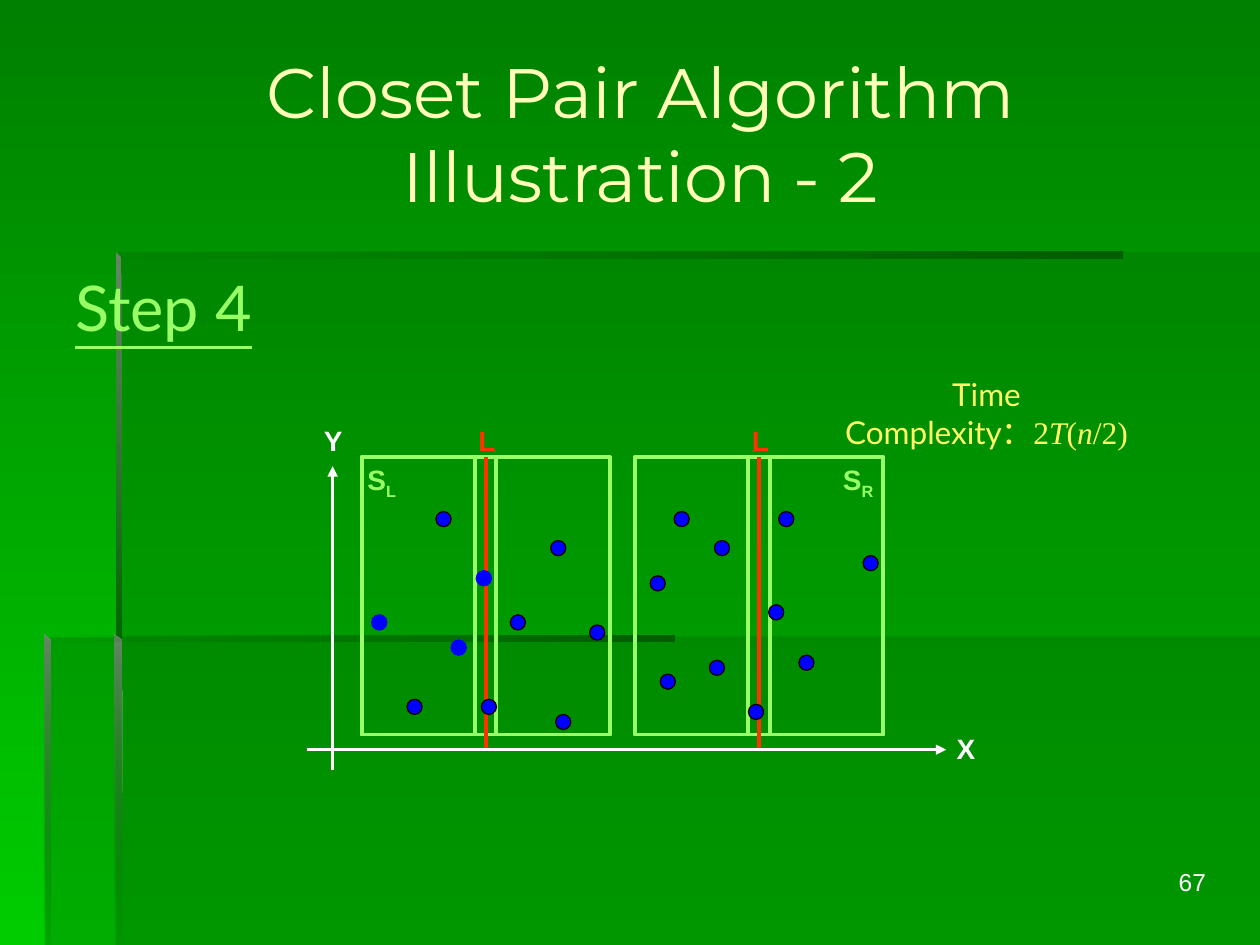
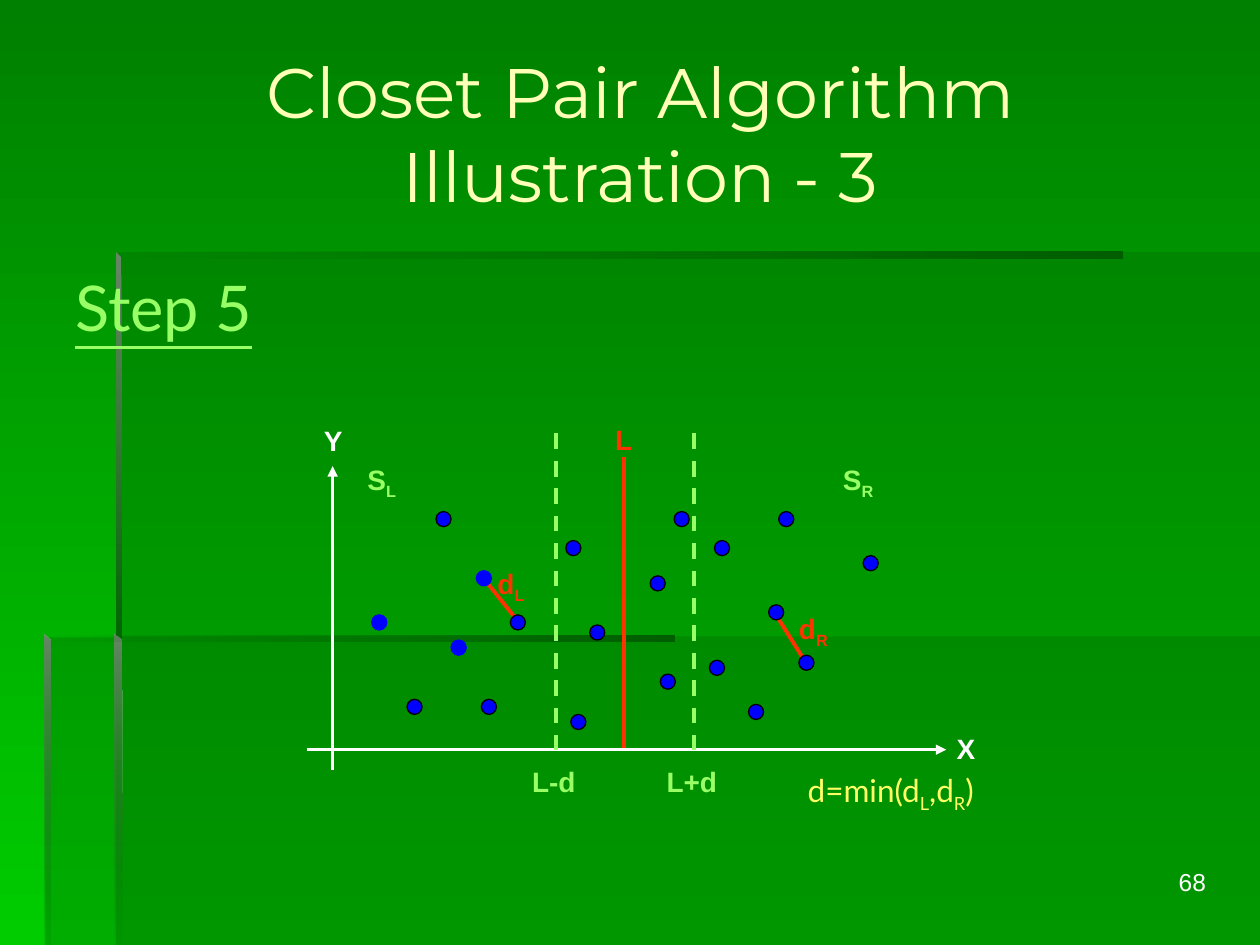
from lxml import etree
from pptx import Presentation
from pptx.dml.color import RGBColor
from pptx.enum import dml, shapes, text
from pptx.oxml import ns
from pptx.util import Inches, Pt

color = RGBColor.from_string
WHITE, LIME, RED, YELLOW, BLUE = "FFFFFF", "99FF66", "FF3300", "FFFF66", "0000FF"
SHADE, HIGHLIGHT, DEEP = "006600", "668666", "005E00"
CENTER, LEFT, RIGHT = text.PP_ALIGN.CENTER, text.PP_ALIGN.LEFT, text.PP_ALIGN.RIGHT

TITLE = {"name": "Montserrat", "size": Pt(40), "color": "FFFFB7"}
STEP = {"name": "Lato", "size": Pt(36), "color": LIME, "underline": True}
NOTE = {"name": "Lato", "size": Pt(18), "color": YELLOW}
NUMBER = {"name": "Arial", "size": Pt(14), "color": WHITE}
LABEL = {"name": "Arial", "size": Pt(16), "bold": True, "color": WHITE}
LIME_LABEL = {**LABEL, "color": LIME}
RED_LABEL = {**LABEL, "color": RED}
SUB = {"baseline": "-25000"}
SERIF = {"name": "Times New Roman"}
SERIF_ITALIC = {**SERIF, "italic": True}

PANELS = [
    [(0.92, 5.05), (0.92, 7.5), (10, 7.5), (10, 5.05)],
    [(0.94, 5.06), (0.36, 5.06), (0.36, 7.5), (10, 7.5), (10, 2), (0.94, 2)],
]
FADE_IN = [(SHADE, 0), (DEEP, 100)]
BEVELS = [
    ([(0.92, 2), (0.92, 2.05), (8.91, 2.05), (8.91, 2)], FADE_IN, 0),
    ([(0.92, 2), (0.92, 5.1), (0.97, 5.1), (0.96, 2.04)], [(HIGHLIGHT, 100), (SHADE, 100)], 90),
    ([(0.91, 7.5), (0.97, 7.5), (0.96, 5.08), (0.91, 5.04)], [(HIGHLIGHT, 100), (SHADE, 0)], 90),
    ([(0.35, 5.04), (0.35, 5.09), (5.35, 5.09), (5.35, 5.04)], FADE_IN, 0),
    ([(0.35, 5.04), (0.35, 7.5), (0.4, 7.5), (0.4, 5.09)], [(HIGHLIGHT, 100), (SHADE, 10)], 90),
]

DOT = 0.12
PLAIN_DOTS = [(2.95, 4.88), (3.78, 4.53), (3.58, 5.08)]
OUTLINED_DOTS = [
    (3.46, 4.06), (3.23, 5.55), (3.82, 5.55), (5.24, 5.35), (5.35, 4.06),
    (4.05, 4.88), (4.68, 4.96), (5.16, 4.57), (5.63, 5.24), (5.94, 5.59),
    (6.34, 5.2), (6.1, 4.8), (5.67, 4.29), (6.18, 4.06), (6.85, 4.41),
]
AXIS_Y = 5.95
HALF_TOP, HALF_WIDTH, HALF_HEIGHT, SIDE_WIDTH = 3.63, 1.97, 2.2, 0.9


def add_text(slide, at, runs, style, align=CENTER, inset=(0, 0), wrap=False, anchor=text.MSO_ANCHOR.TOP):
    frame = slide.shapes.add_textbox(*map(Inches, at)).text_frame
    across, down = map(Inches, inset)
    layout = {"margin_left": across, "margin_right": across, "margin_top": down,
              "margin_bottom": down, "word_wrap": wrap, "vertical_anchor": anchor}
    for name, value in layout.items():
        setattr(frame, name, value)
    paragraph = frame.paragraphs[0]
    paragraph.alignment = align
    for words, extra in runs:
        run = paragraph.add_run()
        run.text = words
        for name, value in {**style, **extra}.items():
            if name == "color":
                run.font.color.rgb = color(value)
            elif name == "baseline":
                run._r.get_or_add_rPr().set(name, value)
            else:
                setattr(run.font, name, value)


def add_line(slide, start, end, hue, width=2.25, dash=None, arrow=None):
    line = slide.shapes.add_connector(shapes.MSO_CONNECTOR.STRAIGHT, *map(Inches, start + end))
    line.line.color.rgb = color(hue)
    line.line.width = Pt(width)
    if dash:
        line.line.dash_style = dash
    if arrow:
        etree.SubElement(line.line._get_or_add_ln(), ns.qn(f"a:{arrow}"), type="triangle")
    etree.SubElement(line._element.spPr, ns.qn("a:effectLst"))
    return line


presentation = Presentation()
presentation.slide_width = Inches(10)
presentation.slide_height = Inches(7.5)
slides = []

for number, step in [(67, 4), (68, 5)]:
    slide = presentation.slides.add_slide(presentation.slide_layouts[6])
    slides.append(slide)
    gradients = [(slide.background.fill, [("008000", 100), ("00CC00", 100)], 90)]
    outlines = [(points, None, 0) for points in PANELS] + BEVELS
    for points, stops, angle in outlines:
        corners = [(Inches(x), Inches(y)) for x, y in points]
        builder = slide.shapes.build_freeform(*corners[0])
        builder.add_line_segments(corners[1:], close=True)
        shape = builder.convert_to_shape()
        shape.shadow.inherit = False
        shape.line.fill.background()
        if stops:
            gradients.append((shape.fill, stops, angle))
        else:
            shape.fill.solid()
            shape.fill.fore_color.rgb = color(SHADE)
            tint = shape._element.spPr.find(".//" + ns.qn("a:srgbClr"))
            etree.SubElement(tint, ns.qn("a:alpha"), val="30000")
    for fill, stops, angle in gradients:
        fill.gradient()
        fill.gradient_angle = -angle % 360
        for stop, (hue, opacity) in zip(fill.gradient_stops, stops):
            stop.color.rgb = color(hue)
            if opacity < 100:
                tint = stop._gs.find(ns.qn("a:srgbClr"))
                etree.SubElement(tint, ns.qn("a:alpha"), val=str(opacity * 1000))

    add_text(slide, (7.59, 6.83, 2.08, 0.52), [(str(number), {})], NUMBER, RIGHT, (0.1, 0.05), True)
    add_text(slide, (0.5, 0.27, 9.17, 1.57), [(f"Closet Pair Algorithm Illustration - {step - 2}", {})],
             TITLE, CENTER, (0.1, 0.05), True, text.MSO_ANCHOR.MIDDLE)
    add_text(slide, (0.5, 2.08, 1.61, 0.7), [(f"Step {step}", {})], STEP, LEFT, (0.1, 0.05))
    add_text(slide, (2.91, 3.67, 0.24, 0.27), [("S", {}), ("L", SUB)], LIME_LABEL)
    add_text(slide, (6.68, 3.67, 0.26, 0.27), [("S", {}), ("R", SUB)], LIME_LABEL)

halves_slide, strip_slide = slides

for left in (2.87, 5.04):
    rectangles = []
    for x, width in [(left, HALF_WIDTH), (left, SIDE_WIDTH), (left + HALF_WIDTH - SIDE_WIDTH, SIDE_WIDTH)]:
        rectangle = halves_slide.shapes.add_shape(
            shapes.MSO_SHAPE.RECTANGLE, *map(Inches, (x, HALF_TOP, width, HALF_HEIGHT)))
        rectangle.shadow.inherit = False
        rectangle.fill.background()
        rectangle.line.color.rgb = color(LIME)
        rectangle.line.width = Pt(2.25)
        rectangles.append(rectangle)
    middle = left + HALF_WIDTH / 2
    divider = add_line(halves_slide, (middle, HALF_TOP), (middle, AXIS_Y), RED)
    divider.begin_connect(rectangles[0], 0)
    add_text(halves_slide, (middle - 0.06, 3.36, 0.14, 0.27), [("L", {})], RED_LABEL)

add_text(halves_slide, (6.31, 2.93, 3.04, 0.4),
         [("Time Complexity：", {}), ("2", SERIF), ("T", SERIF_ITALIC), ("(", SERIF),
          ("n", SERIF_ITALIC), ("/2)", SERIF)], NOTE, CENTER, (0.1, 0.05), True)

add_line(strip_slide, (6.14, 4.85), (6.39, 5.25), RED)
add_line(strip_slide, (3.83, 4.58), (4.11, 4.93), RED)
add_line(strip_slide, (4.95, HALF_TOP), (4.95, AXIS_Y), RED)
add_text(strip_slide, (4.88, 3.35, 0.14, 0.27), [("L", {})], RED_LABEL)

for slide, moved_dots in [(halves_slide, [(4.37, 4.29), (4.41, 5.67)]),
                          (strip_slide, [(4.49, 4.29), (4.53, 5.67)])]:
    add_line(slide, (2.64, 3.7), (2.64, 6.11), WHITE, 1.5, arrow="headEnd")
    add_line(slide, (2.44, AXIS_Y), (7.51, AXIS_Y), WHITE, 1.5, arrow="tailEnd")
    add_text(slide, (2.57, 3.36, 0.15, 0.27), [("Y", {})], LABEL)
    add_text(slide, (7.59, 5.81, 0.15, 0.27), [("X", {})], LABEL)
    for dots, edge in [(PLAIN_DOTS, BLUE), (OUTLINED_DOTS + moved_dots, "000000")]:
        for x, y in dots:
            dot = slide.shapes.add_shape(shapes.MSO_SHAPE.OVAL, *map(Inches, (x, y, DOT, DOT)))
            dot.shadow.inherit = False
            dot.fill.solid()
            dot.fill.fore_color.rgb = color(BLUE)
            dot.line.color.rgb = color(edge)
            dot.line.width = Pt(0)

for x in (4.41, 5.51):
    add_line(strip_slide, (x, 3.44), (x, AXIS_Y), LIME, dash=dml.MSO_LINE.DASH)
add_text(strip_slide, (4.22, 6.07, 0.35, 0.27), [("L-d", {})], LIME_LABEL)
add_text(strip_slide, (5.29, 6.07, 0.4, 0.27), [("L+d", {})], LIME_LABEL)
add_text(strip_slide, (3.94, 4.5, 0.23, 0.27), [("d", {}), ("L", SUB)], RED_LABEL)
add_text(strip_slide, (6.33, 4.85, 0.25, 0.27), [("d", {}), ("R", SUB)], RED_LABEL)
add_text(strip_slide, (6.24, 6.07, 1.66, 0.4),
         [("d=min(d", {}), ("L", SUB), (",d", {}), ("R", SUB), (")", {})], NOTE, CENTER, (0.1, 0.05))

presentation.save("out.pptx")
